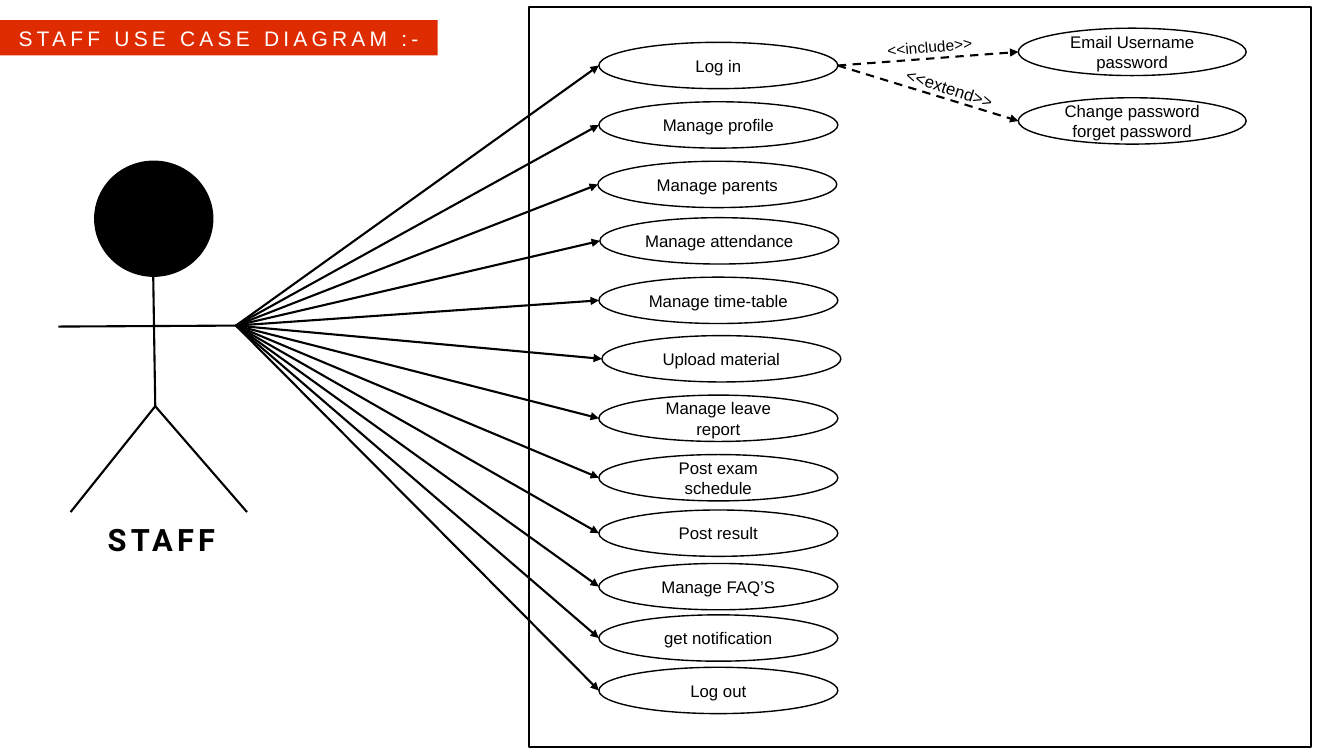
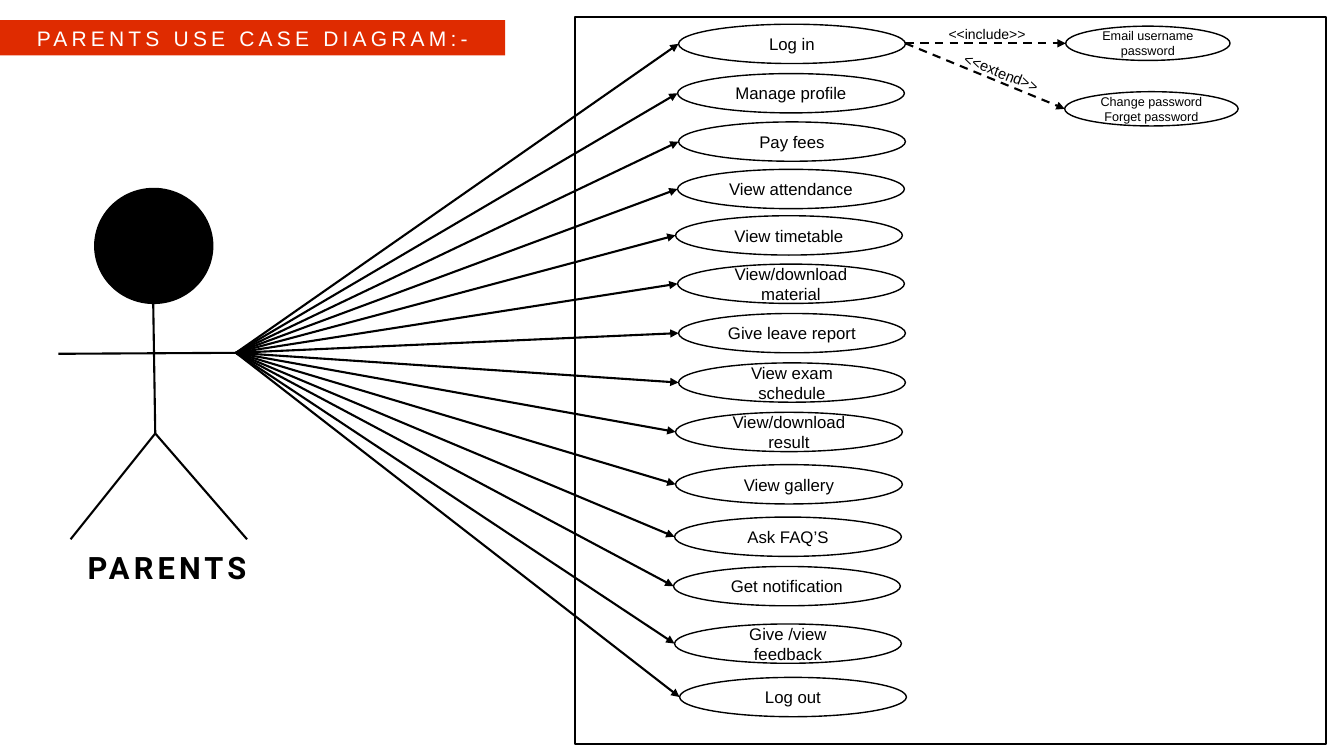
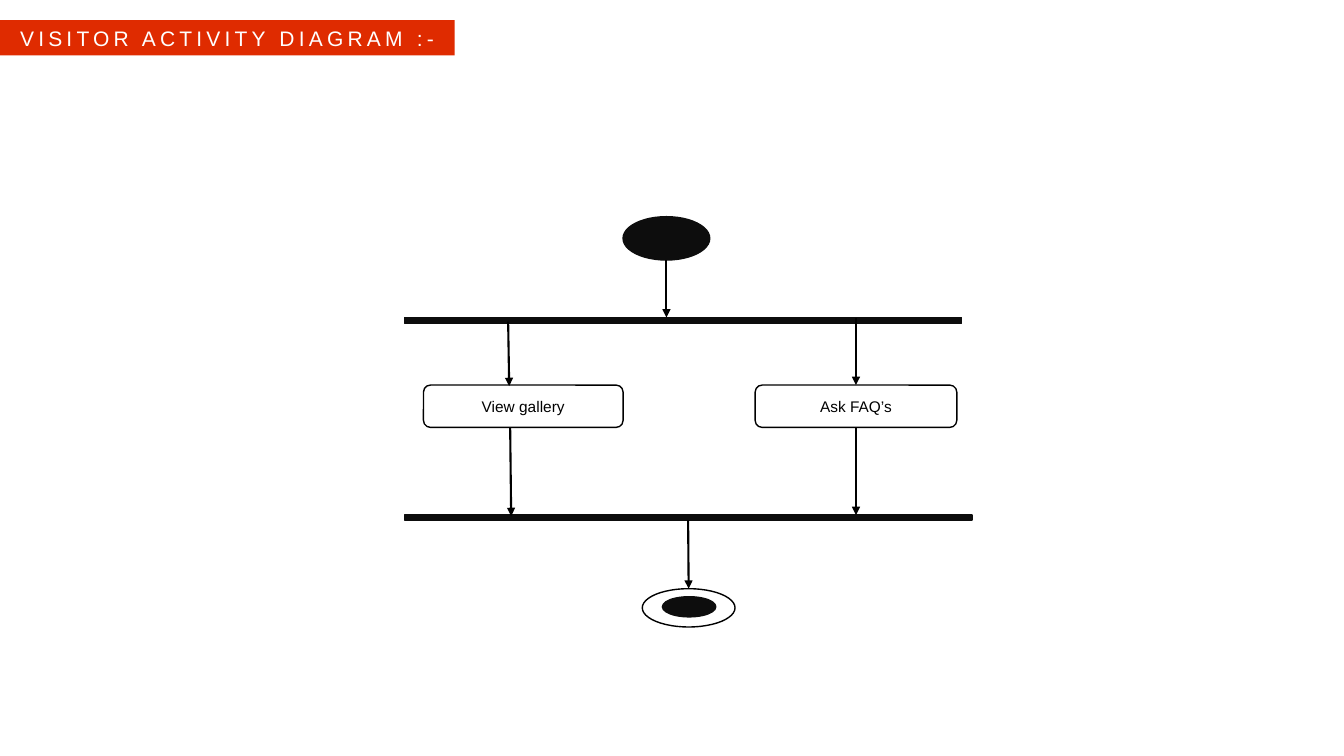
from lxml import etree
from pptx import Presentation
from pptx.dml.color import RGBColor
from pptx.enum.dml import MSO_LINE
from pptx.enum.shapes import MSO_CONNECTOR, MSO_SHAPE
from pptx.enum.text import MSO_ANCHOR, MSO_AUTO_SIZE, PP_ALIGN
from pptx.oxml.ns import qn
from pptx.util import Inches, Pt

OVAL, RECT, ROUND = MSO_SHAPE.OVAL, MSO_SHAPE.RECTANGLE, MSO_SHAPE.ROUNDED_RECTANGLE
LINE, DASH = MSO_CONNECTOR.STRAIGHT, MSO_LINE.DASH
LEFT, CENTER = PP_ALIGN.LEFT, PP_ALIGN.CENTER
TOP, MIDDLE = MSO_ANCHOR.TOP, MSO_ANCHOR.MIDDLE
FIXED = MSO_AUTO_SIZE.NONE

# Shared look and grid: one cell is one inch
CELL = Inches(1)
COLS, ROWS = 13.33, 7.5
BLACK, WHITE, INK, RED = "000000", "FFFFFF", "0D0D0D", "DF2B00"
BODY, HEAD = "Arial", "Roboto"

# Use cases: text, column, row
STAFF = [
    ("Log in", 5.94, 0.42), ("Manage profile", 5.94, 1.01),
    ("Manage parents", 5.93, 1.6), ("Manage attendance", 5.95, 2.16),
    ("Manage time-table", 5.94, 2.75), ("Upload material", 5.97, 3.33),
    ("Manage leave report", 5.94, 3.92), ("Post exam schedule", 5.94, 4.51),
    ("Post result", 5.94, 5.06), ("Manage FAQ’S", 5.94, 5.59),
    ("get notification", 5.94, 6.1), ("Log out", 5.94, 6.62),
]
PARENTS = [
    ("Log in", 6.73, 0.24), ("Manage profile", 6.72, 0.73),
    ("Pay fees", 6.73, 1.21), ("View attendance", 6.72, 1.68),
    ("View timetable", 6.7, 2.14), ("View/download material", 6.72, 2.62),
    ("Give leave report", 6.73, 3.11), ("View exam schedule", 6.73, 3.6),
    ("View/download result", 6.7, 4.09), ("View gallery", 6.7, 4.61),
    ("Ask FAQ’S", 6.69, 5.13), ("Get notification", 6.68, 5.62),
    ("Give /view feedback", 6.69, 6.19), ("Log out", 6.74, 6.72),
]


def grid(*cells):
    return [round(n * CELL) for n in cells]


def color(code):
    return RGBColor.from_string(code)


def write(shape, text, size=12, font=BODY, tint=BLACK, bold=False,
          space=0, align=CENTER, anchor=MIDDLE):
    frame = shape.text_frame
    frame.word_wrap, frame.auto_size = True, FIXED
    frame.vertical_anchor = anchor
    frame.text = text
    for para in frame.paragraphs:
        para.alignment = align
        for run in para.runs:
            run.font.size, run.font.name, run.font.bold = Pt(size), font, bold
            run.font.color.rgb = color(tint)
            if space:
                run._r.get_or_add_rPr().set("spc", str(space * 100))


def box(slide, kind, at, fill=WHITE, line=BLACK, width=1, text="", size=12):
    shape = slide.shapes.add_shape(kind, *grid(*at))
    shape.shadow.inherit = False
    if fill:
        shape.fill.solid()
        shape.fill.fore_color.rgb = color(fill)
    else:
        shape.fill.background()
    shape.line.color.rgb, shape.line.width = color(line), Pt(width)
    if text:
        write(shape, text, size)
    return shape


def label(slide, text, at, turn=0, **style):
    shape = slide.shapes.add_textbox(*grid(*at))
    shape.rotation = turn
    write(shape, text, align=LEFT, anchor=TOP, **style)


def link(slide, start, end, arrow=True, dash=False):
    wire = slide.shapes.add_connector(LINE, *grid(*start, *end))
    wire.line.color.rgb, wire.line.width = color(BLACK), Pt(1.5)
    if dash:
        wire.line.dash_style = DASH
    if arrow:
        etree.SubElement(wire.line._get_or_add_ln(), qn("a:tailEnd"), type="triangle")
    etree.SubElement(wire._element.spPr, qn("a:effectLst"))
    return wire


def page(deck, text, width):
    """Add a slide whose title is a red pennant."""
    slide = deck.slides.add_slide(deck.slide_layouts[5])
    title = slide.shapes.title
    title.left, title.top, title.width, title.height = grid(0, 0.2, width, 0.35)
    form = etree.Element(qn("a:prstGeom"), prst="homePlate")
    etree.SubElement(form, qn("a:avLst"))
    title._element.spPr.find(qn("a:xfrm")).addnext(form)
    title.fill.solid()
    title.fill.fore_color.rgb = color(RED)
    write(title, text, 15, tint=WHITE, space=3)
    return slide


def actor(slide, top, name, left, width):
    box(slide, OVAL, (0.94, top, 1.17, 1.14), BLACK)
    neck, hip = (1.52, top + 1.14), (1.54, top + 2.43)
    limbs = [(neck, hip), (hip, (0.7, top + 3.48)), (hip, (2.45, top + 3.48)),
             ((0.58, top + 1.64), (2.36, top + 1.63))]
    for start, end in limbs:
        link(slide, start, end, arrow=False)
    label(slide, name, (left, top + 3.52, width, 0.47),
          size=22, font=HEAD, bold=True, space=3)


def cases(slide, items, hand, width, height):
    """Draw the use cases, each reached by an arrow from the hand."""
    for text, x, y in items:
        box(slide, OVAL, (x, y, width, height), text=text)
        link(slide, hand, (x, y + height / 2))


def options(slide, start, items, size):
    """Draw the dashed branches of the log in case."""
    for text, x, y, width, height in items:
        box(slide, OVAL, (x, y, width, height), text=text, size=size)
        link(slide, start, (x, y + height / 2), dash=True)


def staff(deck):
    slide = page(deck, "STAFF USE CASE DIAGRAM :-", 4.34)
    box(slide, RECT, (5.25, 0.07, 7.75, 7.34), None, width=1.25)
    cases(slide, STAFF, (2.34, 3.23), 2.37, 0.46)
    options(slide, (8.31, 0.65), [
        ("Email Username password", 10.1, 0.28, 2.26, 0.47),
        ("Change password forget password", 10.1, 0.97, 2.26, 0.46)], 12)
    label(slide, "<<include>>", (8.7, 0.31, 1.32, 0.29), 355.1, size=11)
    label(slide, "<<extend>>", (8.87, 0.75, 1.25, 0.31), 17.7)
    actor(slide, 1.6, "STAFF", 0.97, 1.45)


def parents(deck):
    slide = page(deck, "PARENTS USE CASE DIAGRAM:-", 5.01)
    box(slide, RECT, (5.7, 0.17, 7.45, 7.21), None, width=1.5)
    cases(slide, PARENTS, (2.34, 3.5), 2.25, 0.39)
    options(slide, (8.98, 0.43), [
        ("Email username password", 10.57, 0.26, 1.63, 0.34),
        ("Change password\nForget password", 10.56, 0.91, 1.72, 0.34)], 9)
    label(slide, "<<include>>", (9.31, 0.2, 1.11, 0.27), size=10)
    label(slide, "<<extend>>", (9.44, 0.61, 1.12, 0.28), 21.4, size=10.5)
    actor(slide, 1.87, "PARENTS", 0.77, 1.85)


def visitor(deck):
    slide = page(deck, "VISITOR ACTIVITY DIAGRAM :-", 4.51)
    # Start, fork, join and end
    box(slide, OVAL, (6.18, 2.15, 0.86, 0.43), INK, INK)
    box(slide, RECT, (4.01, 3.15, 5.53, 0.06), INK, INK)
    join = box(slide, RECT, (4.01, 5.11, 5.63, 0.05), INK, INK)
    box(slide, OVAL, (6.37, 5.84, 0.92, 0.38))
    box(slide, OVAL, (6.57, 5.92, 0.53, 0.2), INK, INK)
    # Activities
    box(slide, ROUND, (4.2, 3.82, 1.98, 0.42), text="View gallery", size=11)
    ask = box(slide, ROUND, (7.49, 3.82, 2, 0.42), text="Ask FAQ’s", size=11)
    # Flow
    link(slide, (6.61, 2.58), (6.61, 3.15))
    link(slide, (5.04, 3.19), (5.05, 3.83))
    link(slide, (5.06, 4.24), (5.07, 5.12))
    link(slide, (8.49, 3.15), (8.49, 3.82)).end_connect(ask, 0)
    link(slide, (8.49, 4.24), (8.49, 5.11)).begin_connect(ask, 2)
    link(slide, (6.83, 5.16), (6.83, 5.84)).begin_connect(join, 2)


def main():
    deck = Presentation()
    deck.slide_width, deck.slide_height = grid(COLS, ROWS)
    for draw in (staff, parents, visitor):
        draw(deck)
    deck.save("out.pptx")


if __name__ == "__main__":
    main()
